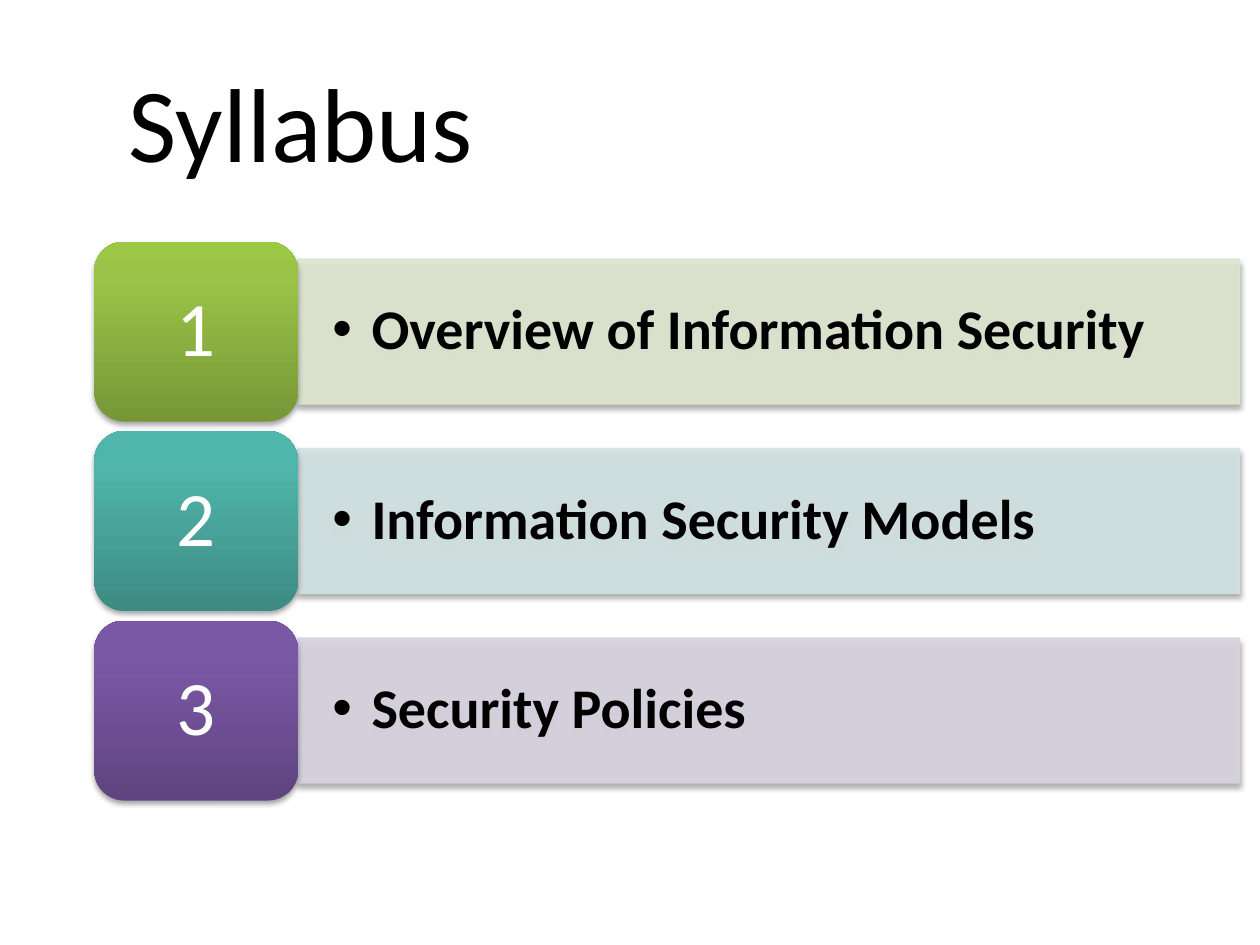
from pptx import Presentation
from pptx.dml.color import RGBColor
from pptx.enum.shapes import MSO_SHAPE as Shape
from pptx.enum.text import MSO_ANCHOR as Anchor, PP_ALIGN as Align
from pptx.oxml import parse_xml
from pptx.oxml.ns import nsdecls
from pptx.util import Cm, Pt

FONT = "Calibri"
TOPICS = [
    ("Overview of Information Security", "DEE7D1", ("779737", "9BC348", "9DC746")),
    ("Information Security Models", "D2E3E2", ("3D8B83", "50B5AA", "4EB8AC")),
    ("Security Policies", "D8D3E0", ("5F4480", "7B58A6", "7C57A8")),
]
STOPS = (0, 80, 100)
ROW_HEIGHT, ROW_PITCH = 3.63, 3.82
TILE_WIDTH, BAR_HEIGHT = 4.11, 2.92


def rgb(value):
    return RGBColor.from_string(value)


def xml(tag, body="", attrs=""):
    return parse_xml(f'<a:{tag} {nsdecls("a")} {attrs}>{body}</a:{tag}>')


def add_run(p, text, size, color, bold=False):
    r = p.add_run()
    r.text = text
    r.font.name, r.font.size, r.font.bold = FONT, Pt(size), bold
    r.font.color.rgb = rgb(color)


def add_box(s, kind, left, top, width, height):
    sp = s.shapes.add_shape(kind, Cm(left), Cm(top), Cm(width), Cm(height))
    sp.shadow.inherit = False
    effects = sp._element.spPr.find("{*}effectLst")
    effects.append(xml(
        "outerShdw",
        '<a:srgbClr val="000000"><a:alpha val="35000"/></a:srgbClr>',
        'blurRad="40000" dist="23000" dir="5400000" rotWithShape="0"',
    ))
    sp.text_frame.word_wrap = True
    sp.text_frame.vertical_anchor = Anchor.MIDDLE
    return sp


def add_bar(s, text, color, left, top, width, height):
    sp = add_box(s, Shape.RECTANGLE, left, top, width, height)
    for paint in (sp.fill, sp.line.fill):
        paint.solid()
        paint.fore_color.rgb = rgb(color)
    sp.line.width = Pt(0.75)
    for clr in sp._element.spPr.findall(".//{*}solidFill/{*}srgbClr"):
        clr.append(xml("alpha", attrs='val="90000"'))
    tf = sp.text_frame
    tf.margin_left = tf.margin_right = Cm(0.69)
    p = tf.paragraphs[0]
    p.alignment, p.line_spacing = Align.LEFT, 0.9
    pPr = p._p.get_or_add_pPr()
    pPr.set("marL", str(Cm(0.79)))
    pPr.set("indent", str(-Cm(0.79)))
    pPr.append(xml("buFont", attrs='typeface="Arial"'))
    pPr.append(xml("buChar", attrs='char="•"'))
    add_run(p, text, 32, "000000", bold=True)


def add_tile(s, number, colors, left, top, width, height):
    sp = add_box(s, Shape.ROUNDED_RECTANGLE, left, top, width, height)
    stops = "".join(
        f'<a:gs pos="{pos * 1000}"><a:srgbClr val="{color}"/></a:gs>'
        for pos, color in zip(STOPS, colors)
    )
    gradient = f'<a:gsLst>{stops}</a:gsLst><a:lin ang="16200000" scaled="0"/>'
    sp._element.spPr.find("{*}prstGeom").addnext(xml("gradFill", gradient))
    sp.line.fill.background()
    p = sp.text_frame.paragraphs[0]
    p.alignment, p.line_spacing = Align.CENTER, 0.9
    add_run(p, str(number), 44, "FFFFFF")


def add_topics(s, left, top, width):
    for i, (text, bar_color, tile_colors) in enumerate(TOPICS):
        y = top + i * ROW_PITCH
        add_bar(s, text, bar_color, left + TILE_WIDTH,
                y + (ROW_HEIGHT - BAR_HEIGHT) / 2, width - TILE_WIDTH, BAR_HEIGHT)
        add_tile(s, i + 1, tile_colors, left, y, TILE_WIDTH, ROW_HEIGHT)


def add_title(s, text, left, top, width, height):
    sp = s.shapes.title
    sp.left, sp.top, sp.width, sp.height = Cm(left), Cm(top), Cm(width), Cm(height)
    sp.text_frame.vertical_anchor = Anchor.MIDDLE
    p = sp.text_frame.paragraphs[0]
    p.alignment = Align.LEFT
    add_run(p, text, 60, "000000")


def main():
    prs = Presentation()
    prs.slide_width, prs.slide_height = Cm(25.4), Cm(19.05)
    s = prs.slides.add_slide(prs.slide_layouts[5])
    add_title(s, "Syllabus", 2.34, 0.84, 22.43, 3.18)
    add_topics(s, 1.9, 4.87, 23.09)
    prs.save("out.pptx")


if __name__ == "__main__":
    main()
